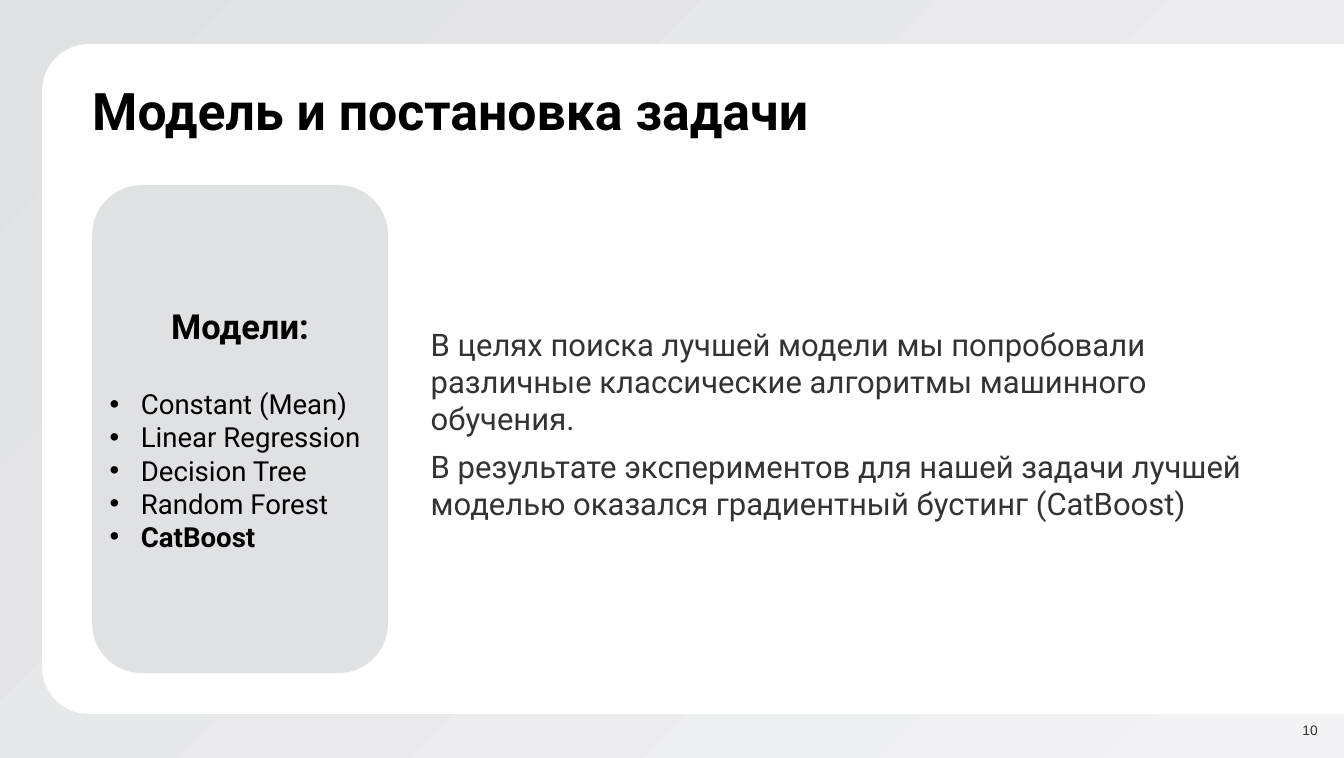
from dataclasses import dataclass

from lxml.etree import SubElement
from pptx import Presentation
from pptx.dml.color import RGBColor
from pptx.enum.shapes import MSO_SHAPE
from pptx.enum.text import MSO_ANCHOR, PP_ALIGN
from pptx.oxml.ns import qn
from pptx.util import Emu, Pt

SCALE = 9000


@dataclass(frozen=True)
class Theme:
    """Colours, fonts and type sizes of the deck."""
    backdrop: tuple = ("E0E1E3", "F3F3F5")
    panel: str = "FFFFFF"
    card: str = "E0E1E3"
    ink: str = "000000"
    body_ink: str = "333333"
    text_font: str = "Roboto"
    number_font: str = "Arial"
    title: int = 60
    heading: int = 40
    body: int = 36
    item: int = 32
    number: int = 16


THEME = Theme()


def px(length):
    """Turn px into EMU."""
    return Emu(round(length * SCALE))


def apply(target, values):
    """Set each attribute named in values."""
    for name, value in values.items():
        setattr(target, name, value)


def add_block(page, kind, box, color=None):
    """Add a flat preset shape without a line."""
    block = page.shapes.add_shape(kind, *map(px, box))
    block.shadow.inherit = False
    block.line.fill.background()
    if color:
        block.fill.solid()
        block.fill.fore_color.rgb = RGBColor.from_string(color)
    return block


def set_frame(frame, inset=0, anchor=MSO_ANCHOR.TOP):
    """Wrap a text frame with equal insets."""
    sides = ("margin_left", "margin_top", "margin_right", "margin_bottom")
    apply(frame, {"word_wrap": True, "vertical_anchor": anchor, **dict.fromkeys(sides, px(inset))})


def add_bullet(para, indent):
    """Give a paragraph a hanging round bullet."""
    properties = para._p.get_or_add_pPr()
    properties.set("marL", str(px(indent)))
    properties.set("indent", str(px(-indent)))
    SubElement(properties, qn("a:buFont")).set("typeface", "Arial")
    SubElement(properties, qn("a:buChar")).set("char", "•")


def write(frame, lines, size, color, font=THEME.text_font, bold=False, indent=0, **layout):
    """Write lines as paragraphs, using the empty first one if there is one."""
    for line in lines:
        para = frame.paragraphs[-1]
        if para.runs:
            para = frame.add_paragraph()
        apply(para, layout)
        if indent:
            add_bullet(para, indent)
        span = para.add_run()
        span.text = line
        apply(span.font, {"name": font, "size": Pt(size), "bold": bold})
        span.font.color.rgb = RGBColor.from_string(color)


def add_text(page, box, lines, size, color, anchor=MSO_ANCHOR.TOP, **style):
    """Add a text box without insets."""
    frame = page.shapes.add_textbox(*map(px, box)).text_frame
    set_frame(frame, anchor=anchor)
    write(frame, lines, size, color, **style)


def draw_backdrop(page, box):
    """Fill the box with a diagonal gradient."""
    fill = add_block(page, MSO_SHAPE.RECTANGLE, box).fill
    fill.gradient()
    fill.gradient_angle = 315
    for stop, color, position in zip(fill.gradient_stops, THEME.backdrop, (0, 1)):
        stop.color.rgb = RGBColor.from_string(color)
        stop.position = position


def draw_panel(page, box):
    """Draw a panel with rounded left corners by turning a top-rounded one."""
    left, top, width, height = box
    shift = (width - height) / 2
    turned = (left + shift, top - shift, height, width)
    panel = add_block(page, MSO_SHAPE.ROUND_2_SAME_RECTANGLE, turned, THEME.panel)
    panel.rotation = 270
    panel.adjustments[0] = 0.07
    panel.adjustments[1] = 0


def draw_models(page, box, heading, models, winner):
    """Draw the card that lists the models, with the winner in bold."""
    frame = add_block(page, MSO_SHAPE.ROUNDED_RECTANGLE, box, THEME.card).text_frame
    set_frame(frame, 5, MSO_ANCHOR.MIDDLE)
    write(frame, [heading], THEME.heading, THEME.ink, bold=True,
          alignment=PP_ALIGN.CENTER, space_after=Pt(47))
    for model in models:
        write(frame, [model], THEME.item, THEME.ink, bold=model == winner,
              indent=51, alignment=PP_ALIGN.JUSTIFY)


def draw_slide(page, box):
    """Place all regions of the model slide in the box."""
    left, top, width, height = box
    draw_backdrop(page, box)
    draw_panel(page, (left + 69, top + 72, width - 69, 1096))
    add_text(page, (left + 151, top + 140, 1909, 94), ["Модель и постановка задачи"],
             THEME.title, THEME.ink, bold=True, line_spacing=0.9)
    add_text(page, (left + width - 162, top + height - 59, 119, 27), ["10"],
             THEME.number, THEME.body_ink, MSO_ANCHOR.MIDDLE,
             font=THEME.number_font, alignment=PP_ALIGN.RIGHT)
    models = ["Constant (Mean)", "Linear Regression", "Decision Tree", "Random Forest", "CatBoost"]
    draw_models(page, (left + 151, top + 303, 484, 798), "Модели:", models, "CatBoost")
    findings = [
        "В целях поиска лучшей модели мы попробовали различные классические "
        "алгоритмы машинного обучения.",
        "В результате экспериментов для нашей задачи лучшей моделью оказался "
        "градиентный бустинг (CatBoost)",
    ]
    add_text(page, (left + 705, top + 532, 1392, 338), findings,
             THEME.body, THEME.body_ink, space_after=Pt(12))


def main():
    """Build and save the deck."""
    deck = Presentation()
    width, height = 2200, 1240
    apply(deck, {"slide_width": px(width), "slide_height": px(height)})
    page = deck.slides.add_slide(deck.slide_layouts[6])
    draw_slide(page, (0, 0, width, height))
    deck.save("out.pptx")


if __name__ == "__main__":
    main()
